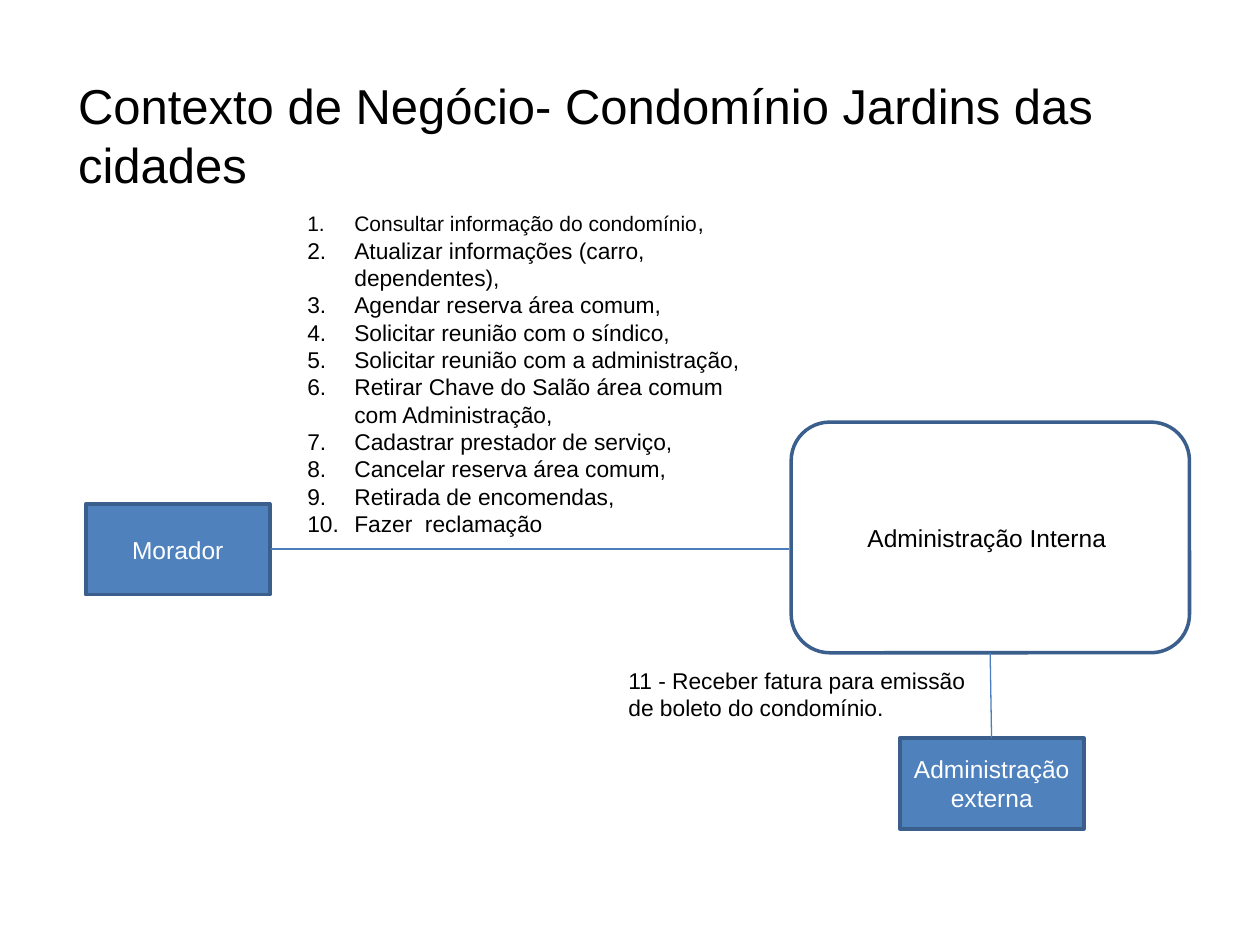
import pptx
import pptx.util
import pptx.dml.color
import pptx.enum.shapes
import pptx.enum.text
import pptx.oxml.ns
import lxml.etree

Cm, Pt = pptx.util.Cm, pptx.util.Pt
RGB = pptx.dml.color.RGBColor
SHAPE = pptx.enum.shapes.MSO_SHAPE
ALIGN = pptx.enum.text.PP_ALIGN
ANCHOR = pptx.enum.text.MSO_ANCHOR
qn = pptx.oxml.ns.qn

BLACK = RGB(0, 0, 0)
WHITE = RGB(255, 255, 255)
BLUE = RGB(0x4F, 0x81, 0xBD)
BORDER = RGB(0x3A, 0x5F, 0x8C)
LINK = RGB(0x4B, 0x7E, 0xBC)


class Deck:
    font = "Arial"
    indent = Cm(0.95)

    def __init__(self):
        self.prs = pptx.Presentation()
        self.prs.slide_width, self.prs.slide_height = Cm(25.4), Cm(19.05)
        self.s = self.prs.slides.add_slide(self.prs.slide_layouts[1])

    def place(self, sp, box):
        sp.left, sp.top, sp.width, sp.height = (Cm(v) for v in box)

    def fill_text(self, sp, text, size, color=BLACK, align=ALIGN.LEFT, anchor=ANCHOR.TOP):
        tf = sp.text_frame
        tf.text = text
        tf.word_wrap = True
        tf.auto_size = pptx.enum.text.MSO_AUTO_SIZE.NONE
        tf.vertical_anchor = anchor
        for p in tf.paragraphs:
            p.alignment = align
            p.space_before = Pt(0)
            for r in p.runs:
                self.style(r, size, color)
        return tf

    def style(self, r, size, color=BLACK):
        r.font.name, r.font.size = self.font, Pt(size)
        r.font.color.rgb = color

    def title(self, box, text, size):
        sp = self.s.shapes.title
        self.place(sp, box)
        self.fill_text(sp, text, size)

    def numbered(self, box, items, size):
        sp = self.s.placeholders[1]
        self.place(sp, box)
        tf = self.fill_text(sp, "\n".join(items), size)
        for p in tf.paragraphs:
            pPr = p._p.get_or_add_pPr()
            pPr.set("marL", str(self.indent))
            pPr.set("indent", str(-self.indent))
            lxml.etree.SubElement(pPr, qn("a:buFont"), typeface="+mj-lt")
            lxml.etree.SubElement(pPr, qn("a:buAutoNum"), type="arabicPeriod")
        return tf

    def note(self, box, text, size):
        sp = self.s.shapes.add_textbox(*(Cm(v) for v in box))
        self.fill_text(sp, text, size)

    def actor(self, kind, box, text, fill=None, color=WHITE):
        sp = self.s.shapes.add_shape(kind, *(Cm(v) for v in box))
        sp.shadow.inherit = False
        if fill is None:
            sp.fill.background()
        else:
            sp.fill.solid()
            sp.fill.fore_color.rgb = fill
        sp.line.color.rgb = BORDER
        sp.line.width = Pt(2)
        self.fill_text(sp, text, 14, color, ALIGN.CENTER, ANCHOR.MIDDLE)

    def link(self, *ends):
        c = self.s.shapes.add_connector(
            pptx.enum.shapes.MSO_CONNECTOR.STRAIGHT, *(Cm(v) for v in ends))
        c.line.color.rgb = LINK
        c.line.width = Pt(0.75)
        lxml.etree.SubElement(c._element.spPr, qn("a:effectLst"))


REQUESTS = [
    "Consultar informação do condomínio",
    "Atualizar informações (carro, dependentes), ",
    "Agendar reserva área comum,",
    "Solicitar reunião com o síndico,",
    "Solicitar reunião com a administração,",
    "Retirar Chave do Salão área comum com Administração,",
    "Cadastrar prestador de serviço,",
    "Cancelar reserva área comum,",
    "Retirada de encomendas, ",
    "Fazer  reclamação ",
]

d = Deck()
d.title((1.32, 1.4, 21.56, 2.64), "Contexto de Negócio- Condomínio Jardins das cidades ", 28)
d.actor(SHAPE.RECTANGLE, (1.73, 10.16, 3.71, 1.83), "Morador", BLUE)
d.actor(SHAPE.ROUNDED_RECTANGLE, (15.95, 8.51, 8.03, 4.65), "Administração Interna ", color=BLACK)
tf = d.numbered((5.94, 4.09, 9.6, 6.93), REQUESTS, 13)
p = tf.paragraphs[0]
p.runs[0].font.size = Pt(12)
r = p.add_run()
r.text = ","
d.style(r, 13)
d.link(5.46, 11.07, 15.9, 11.07)
d.actor(SHAPE.RECTANGLE, (18.14, 14.88, 3.71, 1.83), "Administração externa", BLUE)
d.link(19.99, 14.88, 19.96, 13.16)
d.note((12.42, 13.31, 7.42, 1.37), "11 - Receber fatura para emissão de boleto do condomínio. ", 13)
d.prs.save("out.pptx")
